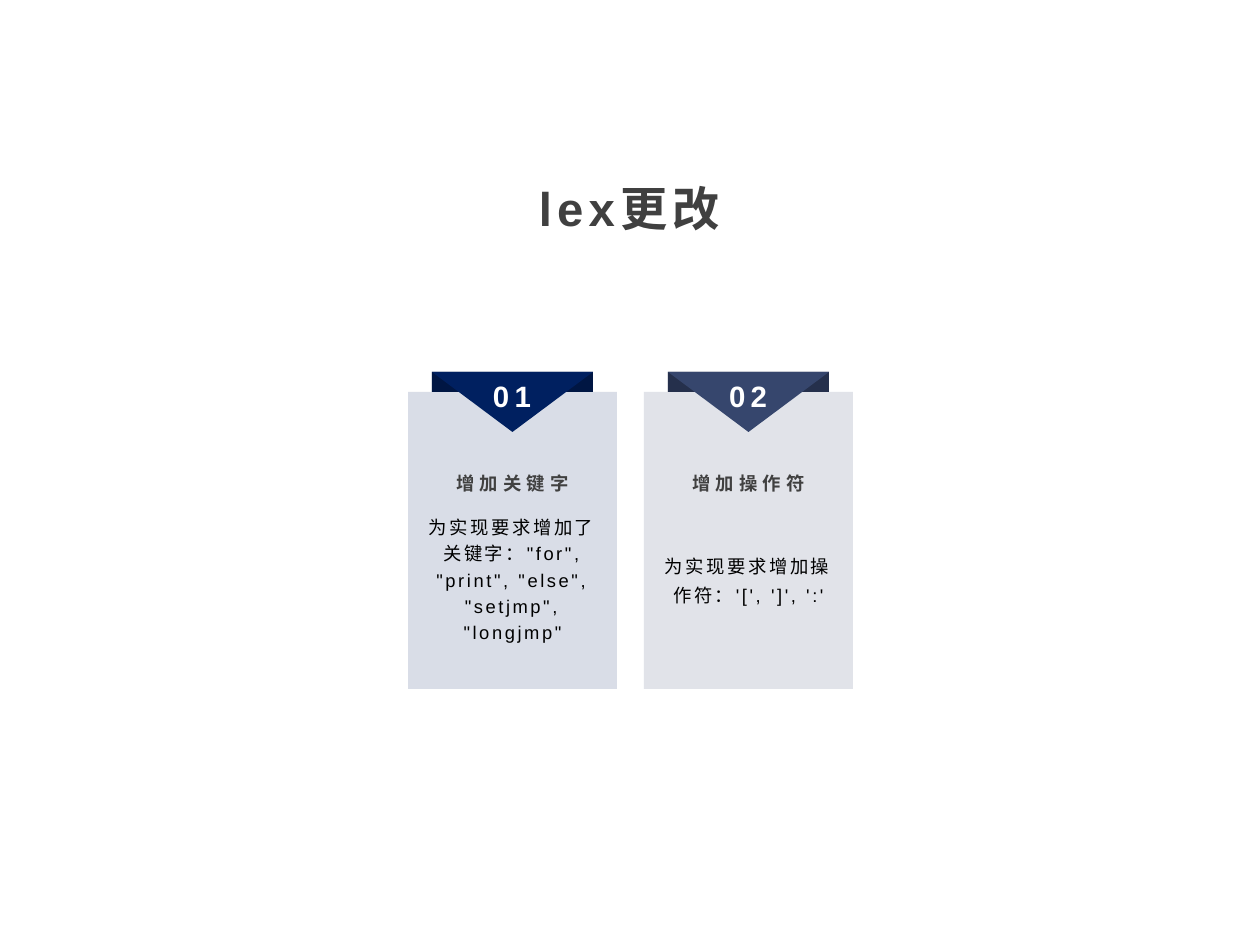
import lxml.etree
import pptx
import pptx.util
import pptx.dml.color
import pptx.enum.shapes
import pptx.enum.text
import pptx.oxml.ns

RGBColor = pptx.dml.color.RGBColor
NAVY = RGBColor(0x00, 0x20, 0x60)
SLATE = RGBColor(0x36, 0x46, 0x6D)
BLACK = RGBColor(0x00, 0x00, 0x00)
WHITE = RGBColor(0xFF, 0xFF, 0xFF)
GRAY = RGBColor(0x40, 0x40, 0x40)

TITLE = "lex更改"
CARDS = [
    ("01", "增加关键字",
     "为实现要求增加了关键字：\"for\", \"print\", \"else\", \"setjmp\", \"longjmp\"",
     NAVY, 1.2),
    ("02", "增加操作符", "为实现要求增加操作符：'[', ']', ':'", SLATE, 1.3),
]

PX = 914400 // 126
CARD_LEFT, CARD_TOP, CARD_WIDTH, CARD_HEIGHT = 408, 392, 209, 297
CARD_PITCH = 236
RIBBON_TOP, RIBBON_WIDTH, FLAP_DEPTH = 372, 161, 60
NUMBER_WIDTH = 72


def paint(shape, color, opacity=100):
    shape.shadow.inherit = False
    shape.line.fill.background()
    shape.fill.solid()
    shape.fill.fore_color.rgb = color
    if opacity < 100:
        properties = shape._element.spPr
        tint = properties.find(".//" + pptx.oxml.ns.qn("a:srgbClr"))
        alpha = lxml.etree.SubElement(tint, pptx.oxml.ns.qn("a:alpha"))
        alpha.set("val", str(opacity * 1000))


def add_panel(page, left, top, width, height, color, opacity=100):
    panel = page.shapes.add_shape(
        pptx.enum.shapes.MSO_SHAPE.RECTANGLE,
        left * PX, top * PX, width * PX, height * PX)
    paint(panel, color, opacity)


def add_flap(page, left, color):
    builder = page.shapes.build_freeform(left * PX, RIBBON_TOP * PX)
    builder.add_line_segments([
        ((left + RIBBON_WIDTH) * PX, RIBBON_TOP * PX),
        (left * PX + RIBBON_WIDTH * PX // 2, (RIBBON_TOP + FLAP_DEPTH) * PX),
    ])
    paint(builder.convert_to_shape(), color)


def add_label(page, text, left, top, width, height, size, color,
              bold=True, tracking=3, spacing=1.0):
    box = page.shapes.add_textbox(left * PX, top * PX, width * PX, height * PX)
    frame = box.text_frame
    frame.word_wrap = True
    frame.vertical_anchor = pptx.enum.text.MSO_ANCHOR.MIDDLE
    frame.text = text
    para = frame.paragraphs[0]
    para.alignment = pptx.enum.text.PP_ALIGN.CENTER
    para.line_spacing = spacing
    span = para.runs[0]
    span.font.name = "Arial"
    span.font.size = pptx.util.Pt(size)
    span.font.bold = bold
    span.font.color.rgb = color
    span._r.get_or_add_rPr().set("spc", str(int(tracking * 100)))


def add_card(page, left, number, heading, body, color, spacing):
    ribbon_left = left + (CARD_WIDTH - RIBBON_WIDTH) // 2
    ribbon = (ribbon_left, RIBBON_TOP, RIBBON_WIDTH, CARD_TOP - RIBBON_TOP)
    add_panel(page, *ribbon, color)
    add_panel(page, *ribbon, BLACK, 30)
    add_flap(page, ribbon_left, color)
    add_panel(page, left, CARD_TOP, CARD_WIDTH, CARD_HEIGHT, color, 15)
    number_left = left + (CARD_WIDTH - NUMBER_WIDTH) // 2
    add_label(page, number, number_left, 367, NUMBER_WIDTH, 57, 16.8, WHITE)
    add_label(page, body, left, 504, CARD_WIDTH, 147, 10.5, BLACK,
              bold=False, tracking=1.5, spacing=spacing)
    add_label(page, heading, left, 455, CARD_WIDTH, 48, 10.5, GRAY, spacing=1.4)


def main():
    deck = pptx.Presentation()
    deck.slide_width = pptx.util.Inches(10)
    deck.slide_height = pptx.util.Inches(7.5)
    page = deck.slides.add_slide(deck.slide_layouts[6])
    for index, card in enumerate(CARDS):
        add_card(page, CARD_LEFT + index * CARD_PITCH, *card)
    add_label(page, TITLE, 227, 159, 805, 86, 27, GRAY, spacing=1.2)
    deck.save("out.pptx")


if __name__ == "__main__":
    main()
